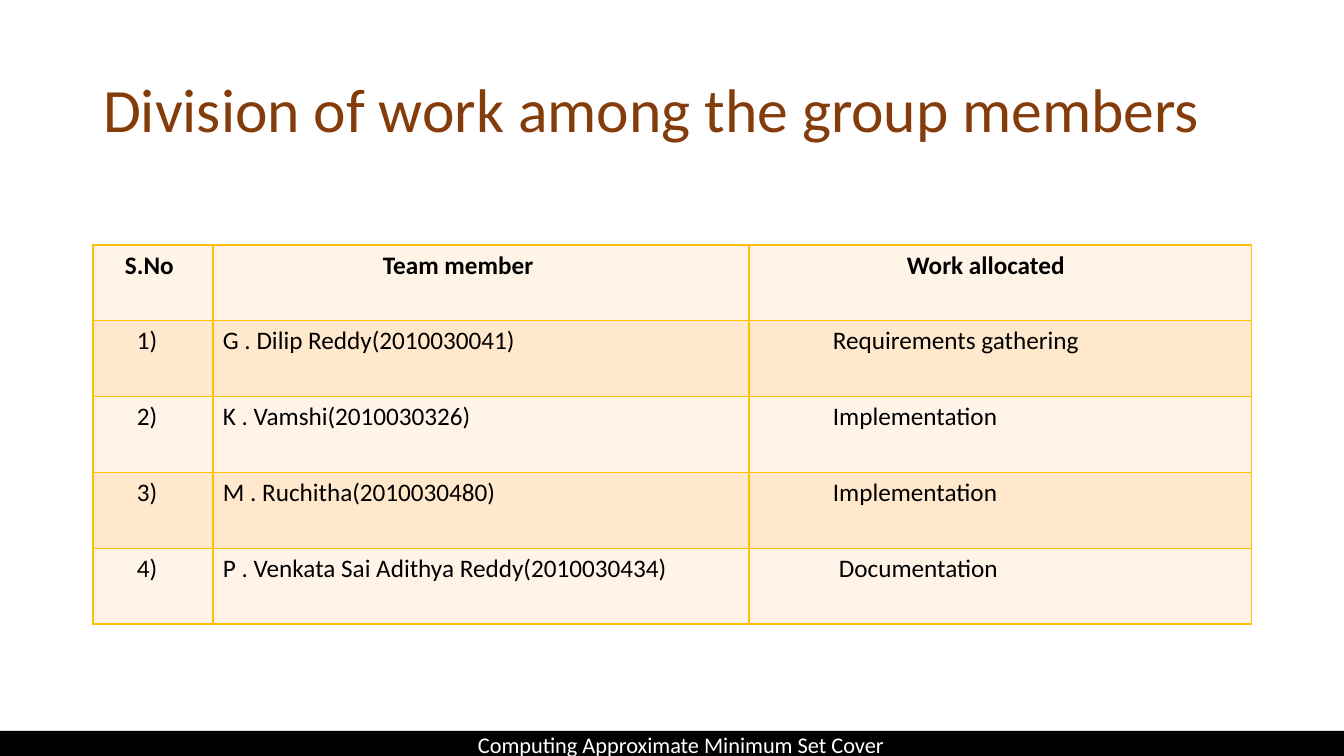
import pptx
import pptx.util
import pptx.dml.color
import pptx.enum.shapes
import pptx.enum.text
import pptx.oxml
import pptx.oxml.ns

ALIGN = pptx.enum.text.PP_ALIGN
MIDDLE = pptx.enum.text.MSO_ANCHOR.MIDDLE
BLACK, WHITE = "000000", "FFFFFF"
BROWN, GOLD = "843C0B", "FFC000"
BANDS = ["FFF4E7", "FFE8CC"]


def px(pixels):
    return pptx.util.Emu(round(pixels * 914400 / 100.8))


def color(hex_code):
    return pptx.dml.color.RGBColor.from_string(hex_code)


class Deck:
    """Holds the font and the current slide."""

    def __init__(self, slide, font="Calibri"):
        self.slide = slide
        self.font = font

    def add_text(self, frame, text, size, hex_code, bold=False, align=ALIGN.LEFT):
        paragraph = frame.paragraphs[0]
        paragraph.alignment = align
        run = paragraph.add_run()
        run.text = text
        run.font.name = self.font
        run.font.size = pptx.util.Pt(size)
        run.font.bold = bold
        run.font.color.rgb = color(hex_code)
        return paragraph

    def title(self, text, left, top, width, height):
        heading = self.slide.shapes.title
        heading.left, heading.top = px(left), px(top)
        heading.width, heading.height = px(width), px(height)
        frame = heading.text_frame
        frame.auto_size = pptx.enum.text.MSO_AUTO_SIZE.NONE
        frame.vertical_anchor = MIDDLE
        self.add_text(frame, text, 44, BROWN).line_spacing = 0.9

    def border(self, cell):
        properties = cell._tc.get_or_add_tcPr()
        for position, side in enumerate(("lnL", "lnR", "lnT", "lnB")):
            edge = pptx.oxml.parse_xml(
                f'<a:{side} {pptx.oxml.ns.nsdecls("a")} w="12700"><a:solidFill>'
                f'<a:srgbClr val="{GOLD}"/></a:solidFill></a:{side}>')
            properties.insert(position, edge)

    def table(self, rows, left, top, widths, height):
        """Each row lists (text, indent) pairs; the first row is the header."""
        grid = self.slide.shapes.add_table(
            len(rows), len(widths), px(left), px(top),
            px(sum(widths)), px(height)).table
        for column, width in zip(grid.columns, widths):
            column.width = px(width)
        for number, row in enumerate(rows):
            grid.rows[number].height = px(height / len(rows))
            for cell, (text, indent) in zip(grid.rows[number].cells, row):
                cell.margin_left = px(indent)
                cell.fill.solid()
                cell.fill.fore_color.rgb = color(BANDS[number % 2])
                self.add_text(cell.text_frame, text, 18, BLACK, bold=number == 0)
                self.border(cell)

    def bar(self, text, left, top, width, height):
        strip = self.slide.shapes.add_shape(
            pptx.enum.shapes.MSO_SHAPE.RECTANGLE,
            px(left), px(top), px(width), px(height))
        strip.shadow.inherit = False
        strip.fill.solid()
        strip.fill.fore_color.rgb = color(BLACK)
        strip.line.fill.background()
        strip.text_frame.vertical_anchor = MIDDLE
        self.add_text(strip.text_frame, text, 16, WHITE, align=ALIGN.CENTER)


# Slide
presentation = pptx.Presentation()
presentation.slide_width, presentation.slide_height = px(1344), px(756)
deck = Deck(presentation.slides.add_slide(presentation.slide_layouts[5]))

# Heading
deck.title("Division of work among the group members", 93, 40, 1159, 146)

# Work division
header = [("S.No", 32), ("Team member", 170), ("Work allocated", 158)]
members = [
    ("G . Dilip Reddy(2010030041)", "Requirements gathering", 84),
    ("K . Vamshi(2010030326)", "Implementation", 84),
    ("M . Ruchitha(2010030480)", "Implementation", 84),
    ("P . Venkata Sai Adithya Reddy(2010030434)", "Documentation", 90),
]
allocations = [[(f"{number})", 44), (member, 10), (work, indent)]
               for number, (member, work, indent) in enumerate(members, 1)]
deck.table([header] + allocations, 93, 245, [120, 536, 503], 379)

# Footer
deck.bar("Computing Approximate Minimum\u00a0Set Cover", -2, 731, 1366, 27)

presentation.save("out.pptx")
